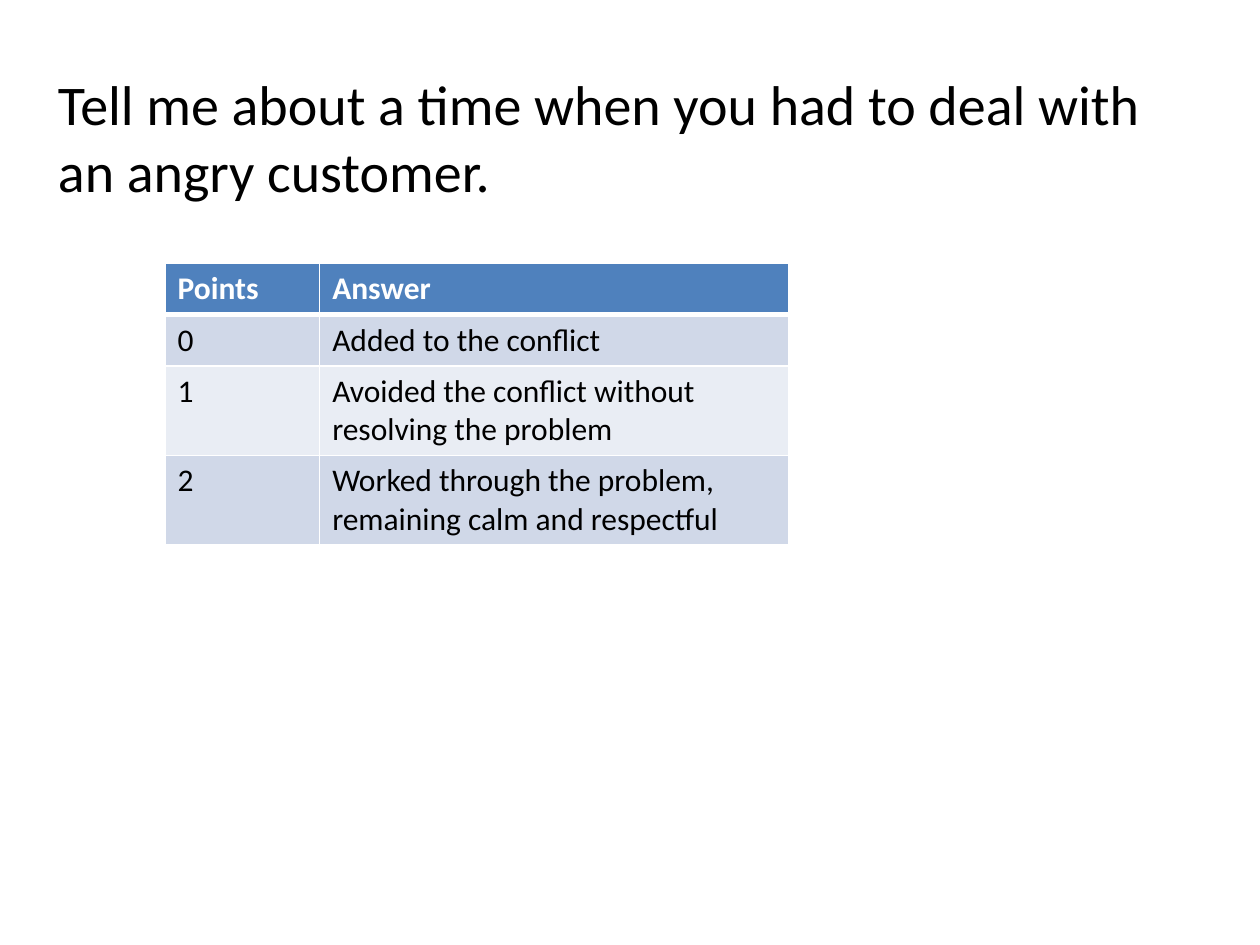
from lxml import etree
from pptx import Presentation
from pptx import util as u
from pptx.dml.color import RGBColor
from pptx.enum import text
from pptx.oxml import ns

COLORS = {"ink": "000000", "paper": "FFFFFF", "head": "4F81BD",
          "odd": "D0D8E8", "even": "E9EDF4"}
QUESTION = "Tell me about a time when you had to deal with an angry customer."
SCORES = [
    ("Points", "Answer"),
    ("0", "Added to the conflict"),
    ("1", "Avoided the conflict without resolving the problem"),
    ("2", "Worked through the problem, remaining calm and respectful"),
]


def write(frame, words, size=18, color="ink", bold=False, before=0):
    """Put one left-aligned paragraph of formatted text in a frame."""
    para = frame.paragraphs[0]
    para.alignment = text.PP_ALIGN.LEFT
    para.space_before = u.Pt(before)
    span = para.add_run()
    span.text = words
    span.font.name = "Calibri"
    span.font.size = u.Pt(size)
    span.font.bold = bold
    span.font.color.rgb = RGBColor.from_string(COLORS[color])


def draw_borders(cell, **widths):
    """Give a cell solid white borders; widths are points by side."""
    props = cell._tc.get_or_add_tcPr()
    for index, side in enumerate("LRTB"):
        line = etree.Element(ns.qn(f"a:ln{side}"),
                             w=str(u.Pt(widths.get(side, 1))))
        fill = etree.SubElement(line, ns.qn("a:solidFill"))
        etree.SubElement(fill, ns.qn("a:srgbClr"), val=COLORS["paper"])
        props.insert(index, line)


class Page:
    """Hold the current slide and draw its styled elements."""

    def __init__(self, deck):
        """Add a title-only slide to the deck."""
        self.deck = deck
        self.slide = deck.slides.add_slide(deck.slide_layouts[5])

    def place(self, left, top, width, height):
        """Turn shares of the slide's size into lengths."""
        across, down = self.deck.slide_width, self.deck.slide_height
        return (round(left * across), round(top * down),
                round(width * across), round(height * down))

    def title(self, words, *area):
        """Move the title to an area and fill it from the top left."""
        box = self.slide.shapes.title
        box.left, box.top, box.width, box.height = self.place(*area)
        frame = box.text_frame
        frame.word_wrap = True
        frame.auto_size = text.MSO_AUTO_SIZE.NONE
        frame.vertical_anchor = text.MSO_ANCHOR.TOP
        write(frame, words, size=32, before=6.4)

    def table(self, rows, columns, heights, *area):
        """Draw a banded table with a heavy line under its header."""
        shape = self.slide.shapes.add_table(len(rows), len(columns),
                                            *self.place(*area))
        grid = shape.table
        for column, share in zip(grid.columns, columns):
            column.width = round(share * shape.width)
        for r, (words, height) in enumerate(zip(rows, heights)):
            grid.rows[r].height = u.Inches(height)
            band = "head" if r == 0 else "odd" if r % 2 else "even"
            for c, word in enumerate(words):
                cell = grid.cell(r, c)
                cell.fill.solid()
                cell.fill.fore_color.rgb = RGBColor.from_string(COLORS[band])
                draw_borders(cell, T=3 if r == 1 else 1, B=3 if r == 0 else 1)
                write(cell.text_frame, word, bold=r == 0,
                      color="paper" if r == 0 else "ink")


deck = Presentation()
deck.slide_width, deck.slide_height = u.Inches(10), u.Inches(7.5)
page = Page(deck)
page.title(QUESTION, 0.036, 1 / 15, 0.9, 1 / 6)
page.table(SCORES, (0.184, 0.816), (0.4, 0.4, 0.4, 0.7),
           0.131, 0.279, 0.667, 0.253)
deck.save("out.pptx")
